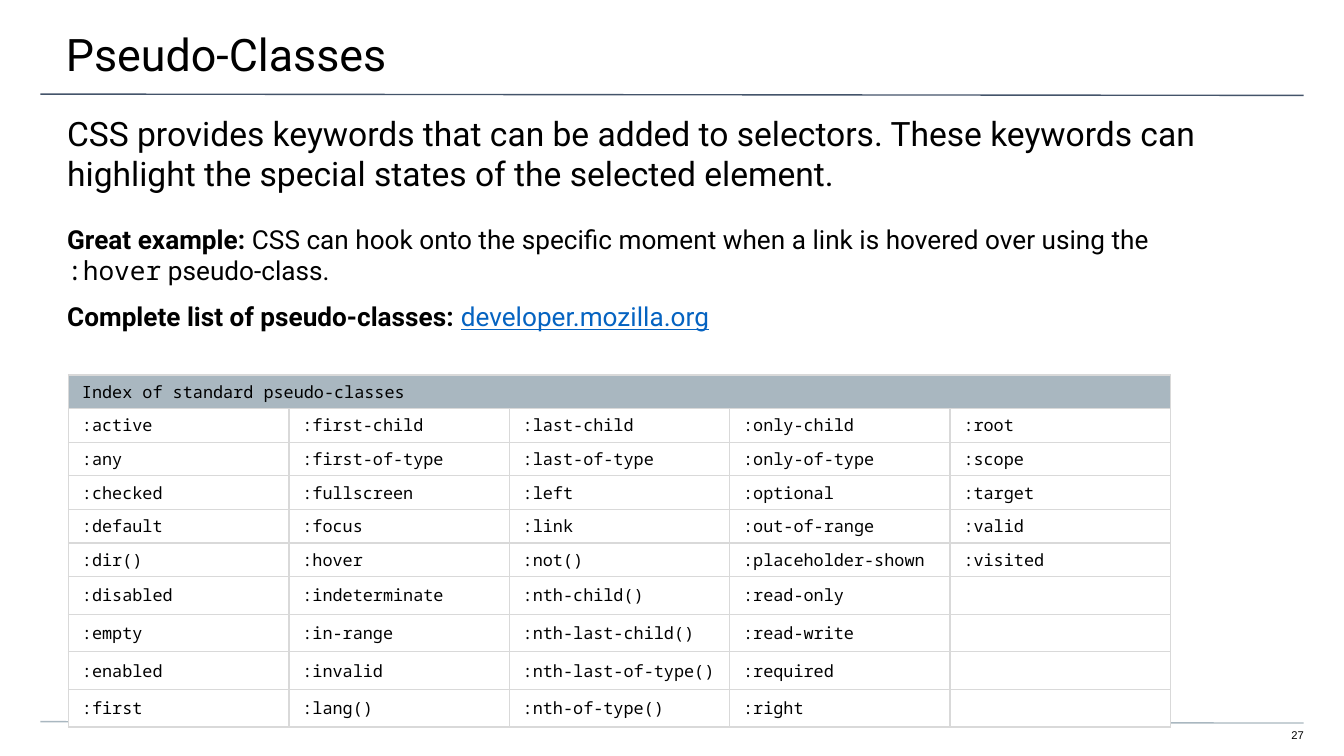
from dataclasses import dataclass

from lxml.etree import SubElement
from pptx import Presentation
from pptx.dml.color import RGBColor
from pptx.enum.shapes import MSO_CONNECTOR
from pptx.enum.text import MSO_ANCHOR, PP_ALIGN
from pptx.oxml.ns import qn
from pptx.util import Inches, Pt


@dataclass(frozen=True)
class Theme:
    ink: str = "000000"
    paper: str = "FFFFFF"
    link: str = "0563C1"
    title_rule: str = "44546A"
    accent: str = "A9B7C0"
    grid: str = "D9D9D9"
    sans: str = "Roboto"
    mono: str = "Noto Sans Mono"
    footer: str = "Arial"
    title_size: int = 24
    lead_size: int = 18
    body_size: int = 14
    index_size: int = 9
    footer_size: int = 6
    line_width: float = 0.75


THEME = Theme()

TITLE = "Pseudo-Classes"
LEAD = ("CSS provides keywords that can be added to selectors. These keywords can "
        "highlight the special states of the selected element.")
EXAMPLE = [
    ("Great example: ", {"bold": True}),
    ("CSS can hook onto the specific moment when a link is hovered over using the \n", {}),
    (":hover", {"font": THEME.mono}),
    (" pseudo-class.", {}),
]
REFERENCE = [
    ("Complete list of pseudo-classes: ", {"bold": True}),
    ("developer.mozilla.org", {"color": THEME.link, "underline": True}),
]
INDEX_HEADING = "Index of standard pseudo-classes"
INDEX_COLUMNS = [
    [":active", ":any", ":checked", ":default", ":dir()",
     ":disabled", ":empty", ":enabled", ":first"],
    [":first-child", ":first-of-type", ":fullscreen", ":focus", ":hover",
     ":indeterminate", ":in-range", ":invalid", ":lang()"],
    [":last-child", ":last-of-type", ":left", ":link", ":not()",
     ":nth-child()", ":nth-last-child()", ":nth-last-of-type()", ":nth-of-type()"],
    [":only-child", ":only-of-type", ":optional", ":out-of-range", ":placeholder-shown",
     ":read-only", ":read-write", ":required", ":right"],
    [":root", ":scope", ":target", ":valid", ":visited"],
]
PAGE_NUMBER = "27"
RULES = [((0.3, 0.7), (9.7, 0.71), THEME.title_rule),
         ((0.3, 5.37), (9.7, 5.38), THEME.accent)]
SLIDE_WIDTH = 10
COLUMN_WIDTH, ROW_HEIGHT, OPEN_ROW_HEIGHT = 1.64, 0.25, 0.28


def rgb(value):
    return RGBColor.from_string(value)


def write(paragraph, text, *, size, font=THEME.sans, color=THEME.ink, bold=False, underline=False):
    for position, line in enumerate(text.split("\n")):
        if position:
            paragraph.add_line_break()
        if line:
            run = paragraph.add_run()
            run.text = line
            run.font.name, run.font.size = font, Pt(size)
            run.font.bold, run.font.underline = bold, underline
            run.font.color.rgb = rgb(color)


def set_insets(target, insets):
    (target.margin_left, target.margin_top,
     target.margin_right, target.margin_bottom) = map(Inches, insets)


def add_text(slide, place, insets, paragraphs, size, align=PP_ALIGN.LEFT, space=0, **style):
    frame = slide.shapes.add_textbox(*map(Inches, place)).text_frame
    frame.word_wrap = True
    frame.vertical_anchor = MSO_ANCHOR.TOP
    set_insets(frame, insets)
    for position, runs in enumerate(paragraphs):
        paragraph = frame.add_paragraph() if position else frame.paragraphs[0]
        paragraph.alignment = align
        if position:
            paragraph.space_before = Pt(space)
        for text, own_style in runs:
            write(paragraph, text, size=size, **{**style, **own_style})


def add_rule(slide, start, end, color):
    rule = slide.shapes.add_connector(MSO_CONNECTOR.STRAIGHT, *map(Inches, start + end))
    rule.line.color.rgb = rgb(color)
    rule.line.width = Pt(THEME.line_width)
    SubElement(rule._element.spPr, qn("a:effectLst"))


def format_cell(cell, text, fill):
    set_insets(cell, (0.1, 0, 0.1, 0))
    cell.vertical_anchor = MSO_ANCHOR.MIDDLE
    paragraph = cell.text_frame.paragraphs[0]
    paragraph.space_after = Pt(2)
    write(paragraph, text, size=THEME.index_size, font=THEME.mono)
    if not text:
        SubElement(paragraph._p, qn("a:endParaRPr"), sz=str(THEME.index_size * 100))
    properties = cell._tc.get_or_add_tcPr()
    for side in ("lnL", "lnR", "lnT", "lnB"):
        border = SubElement(properties, qn(f"a:{side}"), w=str(Pt(THEME.line_width)))
        SubElement(SubElement(border, qn("a:solidFill")), qn("a:srgbClr"), val=THEME.grid)
    cell.fill.solid()
    cell.fill.fore_color.rgb = rgb(fill)


def add_index(slide):
    column_count, entry_count = len(INDEX_COLUMNS), len(INDEX_COLUMNS[0])
    full_rows = min(map(len, INDEX_COLUMNS))
    heights = ([ROW_HEIGHT] * (full_rows + 1)
               + [OPEN_ROW_HEIGHT] * (entry_count - full_rows))
    index = slide.shapes.add_table(
        len(heights), column_count, Inches(0.51), Inches(2.79),
        Inches(COLUMN_WIDTH * column_count), Inches(sum(heights))).table
    for row, height in zip(index.rows, heights):
        row.height = Inches(height)
    for column, entries in enumerate(INDEX_COLUMNS):
        index.columns[column].width = Inches(COLUMN_WIDTH)
        heading = "" if column else INDEX_HEADING
        format_cell(index.cell(0, column), heading, THEME.accent)
        padded = entries + [""] * (entry_count - len(entries))
        for row, entry in enumerate(padded, start=1):
            format_cell(index.cell(row, column), entry, THEME.paper)
    index.cell(0, 0).merge(index.cell(0, column_count - 1))


def main():
    """Build the pseudo-classes slide and save it."""
    deck = Presentation()
    deck.slide_width = Inches(SLIDE_WIDTH)
    deck.slide_height = Inches(SLIDE_WIDTH * 9 / 16)
    slide = deck.slides.add_slide(deck.slide_layouts[6])
    for rule in RULES:
        add_rule(slide, *rule)
    add_text(slide, (-0.01, 0, 10.03, 0.58), (0.5, 0.2, 0.3, 0.1),
             [[(TITLE, {})]], THEME.title_size)
    add_text(slide, (0, 0.74, 10, 0.4), (0.5, 0.1, 0.5, 0),
             [[(LEAD, {})]], THEME.lead_size)
    add_text(slide, (0, 1.66, 10, 1.27), (0.5, 0, 0.5, 0),
             [EXAMPLE, REFERENCE], THEME.body_size, space=8)
    add_index(slide)
    add_text(slide, (9.41, 5.42, 0.29, 0.12), (0, 0, 0, 0.1), [[(PAGE_NUMBER, {})]],
             THEME.footer_size, align=PP_ALIGN.RIGHT, font=THEME.footer)
    deck.save("out.pptx")


if __name__ == "__main__":
    main()
